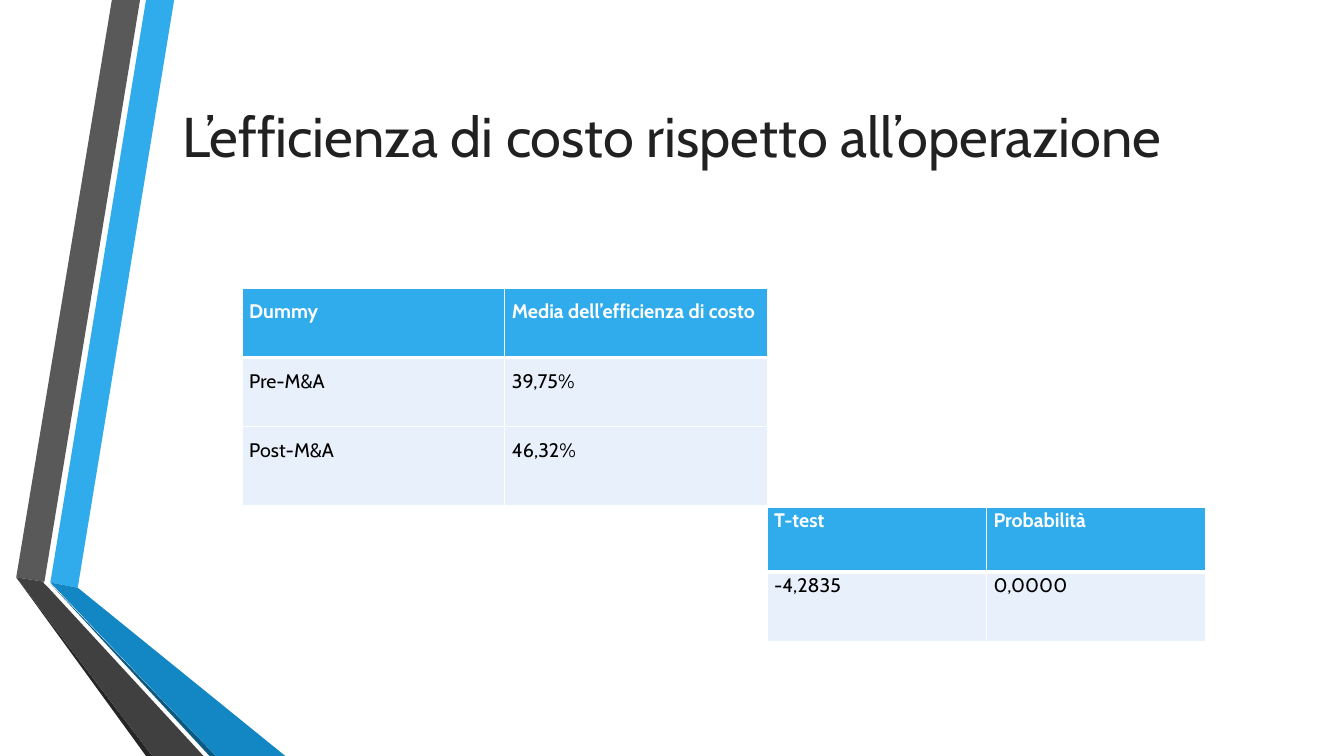
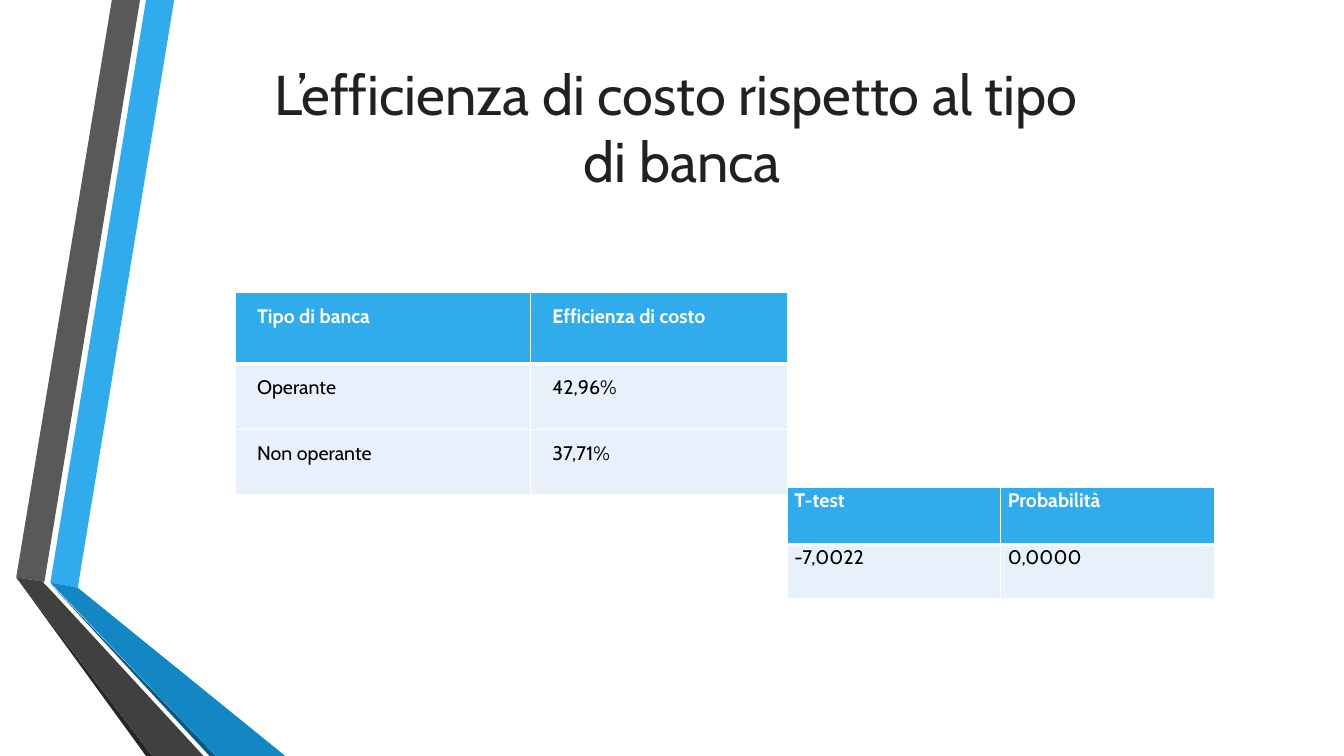
from lxml import etree
from pptx import Presentation
from pptx.dml.color import RGBColor
from pptx.enum.text import MSO_ANCHOR, PP_ALIGN
from pptx.oxml.ns import qn
from pptx.util import Cm, Pt

CENTER, JUSTIFY, LEFT = PP_ALIGN.CENTER, PP_ALIGN.JUSTIFY, PP_ALIGN.LEFT
MIDDLE = MSO_ANCHOR.MIDDLE
FONT = "Cabin"
COLORS = {
    "sky": "30ACEC", "blue": "1287C3", "navy": "0C5A82",
    "gray": "595959", "charcoal": "404040", "dark": "262626",
    "title": "212121", "body": "000000", "white": "FFFFFF", "pale": "E8F1FB",
}
WIDTH, HEIGHT = 33.87, 19.05
RIBBONS = [
    ("sky", [(1.27, 14.68), (1.96, 14.81), (4.39, 0), (3.68, 0)]),
    ("gray", [(3.53, 0), (2.82, 0), (0.41, 14.55), (1.12, 14.66)]),
    ("dark", [(0.41, 14.55), (3.68, HEIGHT), (3.84, HEIGHT)]),
    ("navy", [(1.27, 14.71), (5.28, HEIGHT), (5.44, HEIGHT)]),
    ("blue", [(1.27, 14.68), (5.44, HEIGHT), (7.19, HEIGHT), (1.96, 14.81)]),
    ("charcoal", [(5.13, HEIGHT), (1.22, 14.81), (1.09, 14.68), (1.12, 14.66),
                  (0.41, 14.55), (3.84, HEIGHT)]),
]


def color(name):
    return RGBColor.from_string(COLORS[name])


def add_run(p, text, size, tint, bold=False):
    r = p.add_run()
    r.text = text
    r.font.name, r.font.size, r.font.bold = FONT, Pt(size), bold
    r.font.color.rgb = color(tint)


def add_ribbons(s):
    for tint, points in RIBBONS:
        start, *rest = [(Cm(x), Cm(y)) for x, y in points]
        builder = s.shapes.build_freeform(*start)
        builder.add_line_segments(rest, close=True)
        sp = builder.convert_to_shape()
        sp.shadow.inherit = False
        sp.fill.solid()
        sp.fill.fore_color.rgb = color(tint)
        sp.line.fill.background()


def add_title(s, box, lines):
    tf = s.shapes.add_textbox(*map(Cm, box)).text_frame
    tf.word_wrap = True
    tf.vertical_anchor = MIDDLE
    p = tf.paragraphs[0]
    p.alignment = CENTER
    for i, line in enumerate(lines):
        if i:
            p.add_line_break()
        add_run(p, line, 40, "title")


def set_borders(cell, widths):
    tcPr = cell._tc.get_or_add_tcPr()
    for side, width in zip("LRTB", widths):
        ln = etree.SubElement(tcPr, qn(f"a:ln{side}"), w=str(Pt(width)))
        fill = etree.SubElement(ln, qn("a:solidFill"))
        etree.SubElement(fill, qn("a:srgbClr"), val=COLORS["white"])


def add_data_table(s, origin, cols, heights, rows, inset=0.18,
                   align=LEFT, spacing=1.06, after=0):
    left, top = origin
    frame = s.shapes.add_table(len(rows), len(cols), Cm(left), Cm(top),
                               Cm(sum(cols)), Cm(sum(heights)))
    table = frame.table
    table.horz_banding = False
    for column, width in zip(table.columns, cols):
        column.width = Cm(width)
    for i, (row, height, values) in enumerate(zip(table.rows, heights, rows)):
        row.height = Cm(height)
        header = i == 0
        for cell, value in zip(row.cells, values):
            set_borders(cell, (1, 1, 3 if i == 1 else 1, 3 if header else 1))
            cell.fill.solid()
            cell.fill.fore_color.rgb = color("sky" if header else "pale")
            cell.margin_left = cell.margin_right = Cm(inset)
            cell.margin_top = cell.margin_bottom = 0
            p = cell.text_frame.paragraphs[0]
            p.alignment, p.line_spacing, p.space_after = align, spacing, Pt(after)
            add_run(p, value, 14, "white" if header else "body", header)


def add_comparison_slide(prs, title_box, title, means, test):
    s = prs.slides.add_slide(prs.slide_layouts[6])
    add_ribbons(s)
    add_title(s, title_box, title)
    add_data_table(s, **means, align=JUSTIFY, spacing=1.5, after=8)
    add_data_table(s, **test)


prs = Presentation()
prs.slide_width, prs.slide_height = Cm(WIDTH), Cm(HEIGHT)
add_comparison_slide(
    prs, (0, 0.53, WIDTH, 5.74),
    ["L’efficienza di costo rispetto all’operazione"],
    dict(origin=(6.1, 7.26), cols=[6.62] * 2, heights=[1.75, 1.73, 2.01],
         rows=[("Dummy", "Media dell’efficienza di costo"),
               ("Pre-M&A", "39,75%"), ("Post-M&A", "46,32%")]),
    dict(origin=(19.33, 12.78), cols=[5.53] * 2, heights=[1.63, 1.75],
         rows=[("T-test", "Probabilità"), ("-4,2835", "0,0000")]))
add_comparison_slide(
    prs, (0.53, 1.04, 33.32, 4.32),
    ["L’efficienza di costo rispetto al tipo ", "di banca"],
    dict(origin=(5.92, 7.37), cols=[7.44, 6.48], heights=[1.8, 1.65, 1.65],
         inset=0.56,
         rows=[("Tipo di banca", "Efficienza di costo"),
               ("Operante", "42,96%"), ("Non operante", "37,71%")]),
    dict(origin=(19.84, 12.27), cols=[5.38] * 2, heights=[1.45, 1.37],
         rows=[("T-test", "Probabilità"), ("-7,0022", "0,0000")]))
prs.save("out.pptx")
